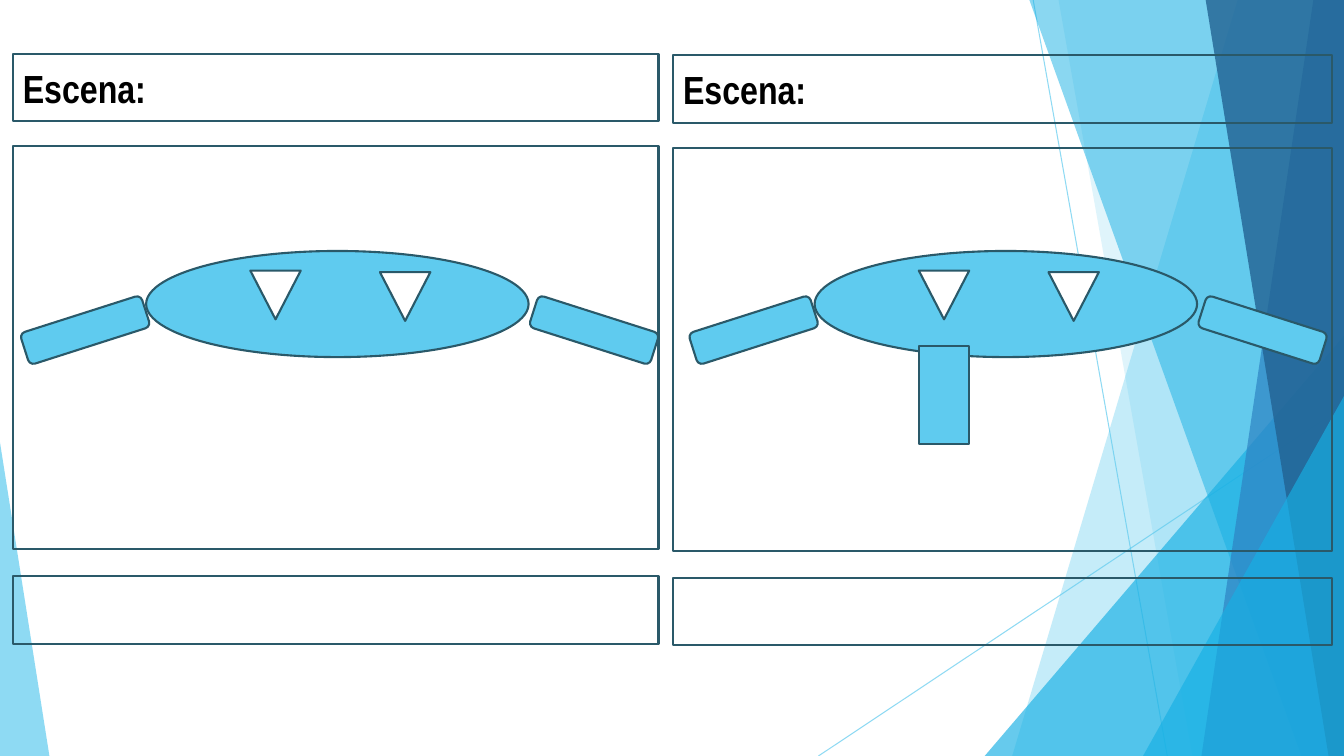
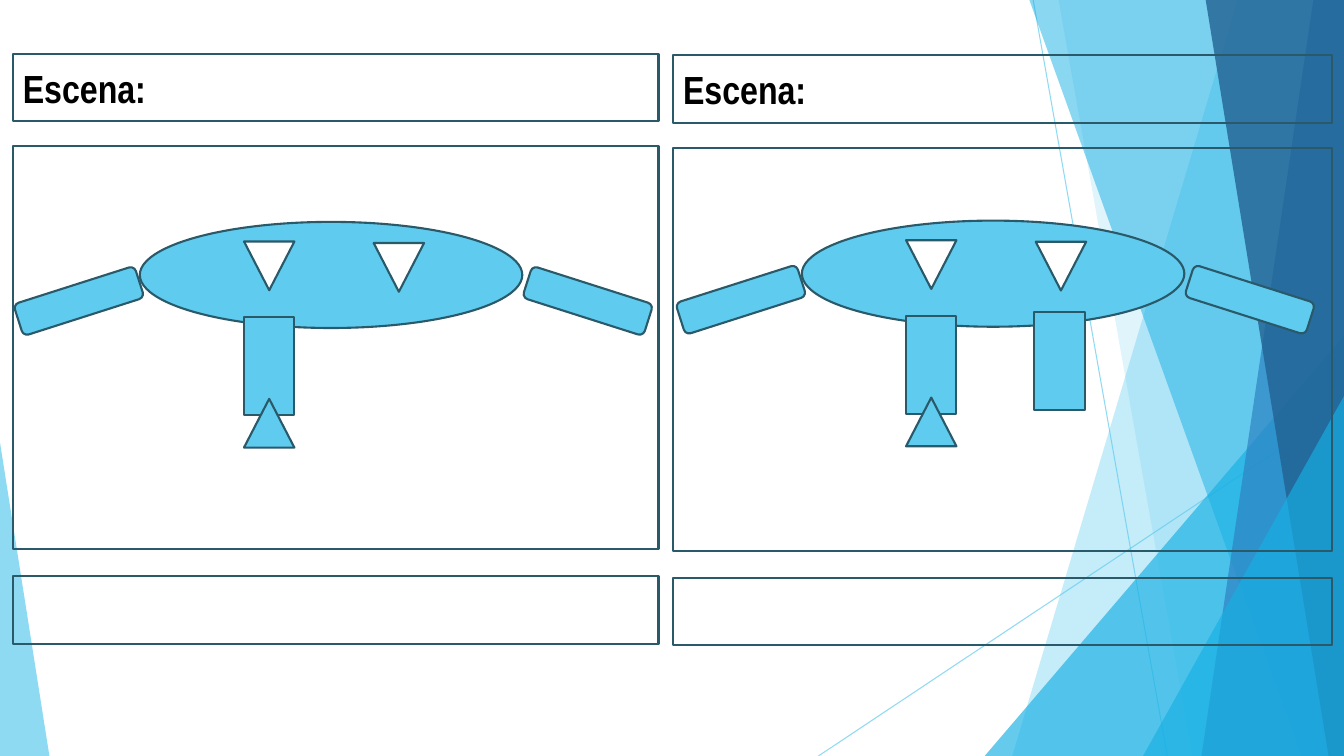
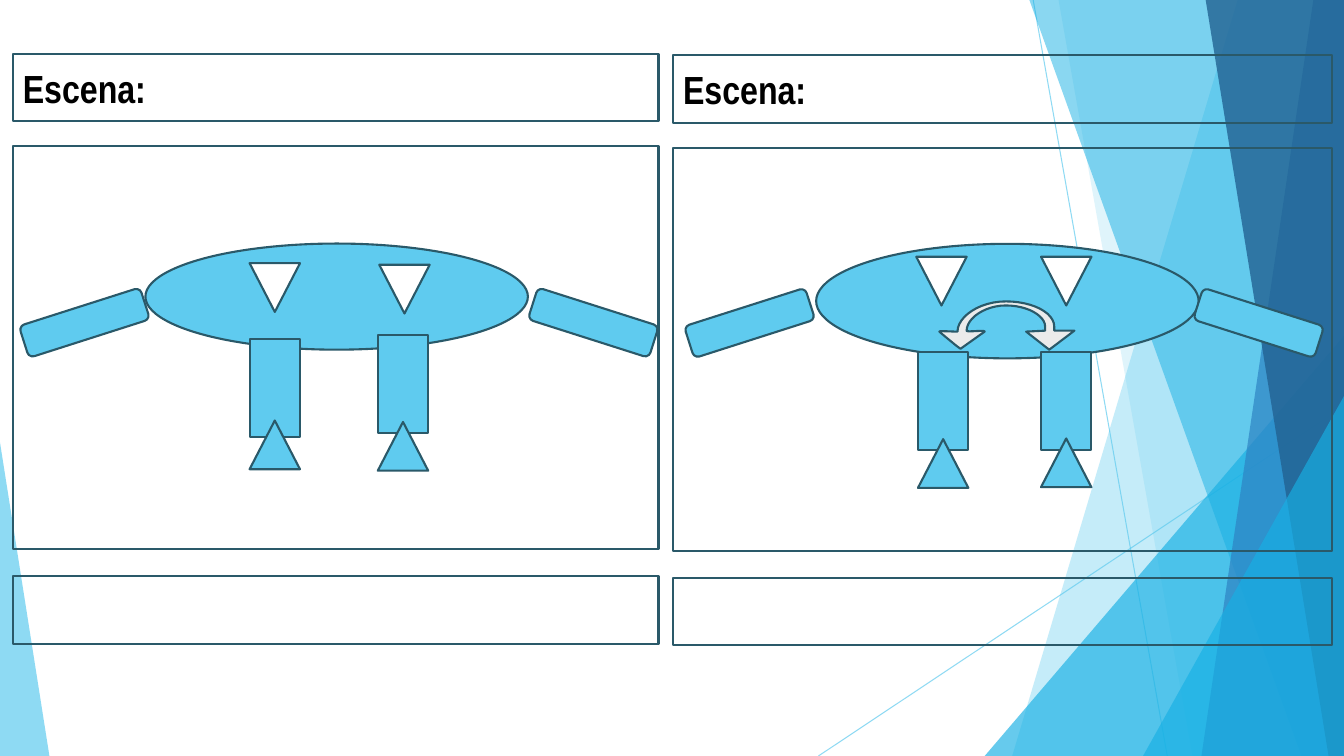
from lxml.etree import SubElement
from pptx import Presentation
from pptx.dml.color import RGBColor
from pptx.enum.shapes import MSO_CONNECTOR, MSO_SHAPE
from pptx.enum.text import MSO_ANCHOR, PP_ALIGN
from pptx.oxml.ns import qn
from pptx.util import Pt

SKY = RGBColor(0x5F, 0xCB, 0xEF)
CYAN = RGBColor(0x17, 0xB0, 0xE4)
BLUE = RGBColor(0x2E, 0x83, 0xC3)
NAVY = RGBColor(0x22, 0x62, 0x92)
OUTLINE = RGBColor(0x2A, 0x59, 0x69)
GREY = RGBColor(0xEB, 0xEB, 0xEB)
WHITE = RGBColor(0xFF, 0xFF, 0xFF)
BLACK = RGBColor(0, 0, 0)
FONT = "Arial Narrow"
W, H = 960, 540

# Backdrop, back to front
RAYS = [(738, 0, 833.8, H), (W, 290.2, 584.6, H)]
BACKDROP = [  # band: top left x, bottom left x; wedge: box, apex
    ("band", (884.2, 723), SKY, 36),
    ("band", (756, 851.8), SKY, 20),
    ("wedge", (703.4, 239.8, 256.6, 300.2, 1), CYAN, 66),
    ("band", (735.1, 929.5), CYAN, 50),
    ("band", (938.2, 858.2), BLUE, 70),
    ("band", (861.1, 949), NAVY, 80),
    ("wedge", (816.5, 283, 143.5, 257, 1), CYAN, 66),
    ("wedge", (0, 316.1, 35.3, 223.9, 0), SKY, 70),
]

# Storyboard panels
PANELS = [(9.2, 0, 461.2), (480.8, 1.2, 470.6)]  # left, drop, width
ROWS = [(38.3, 48.4, "Escena:"), (104.4, 287.8, ""), (411.4, 48.4, "")]

# Robot parts: kind -> shape, width, height, fill, rotations
PARTS = {
    "leg": (MSO_SHAPE.RECTANGLE, 36, 70, SKY, (0, 0)),
    "arm": (MSO_SHAPE.ROUNDED_RECTANGLE, 90.7, 23.8, SKY, (342.3, 17.7)),
    "foot": (MSO_SHAPE.ISOSCELES_TRIANGLE, 36, 34.8, SKY, (0, 0)),
    "eye": (MSO_SHAPE.ISOSCELES_TRIANGLE, 36, 34.8, WHITE, (180, 180)),
}
# Left and right positions, relative to the body
STANDING = {
    "body": (273.2, 75.8),
    "leg": [(74.4, 68), (166, 65.2)],
    "arm": [(-88.9, 44.6), (274.6, 44.6)],
    "foot": [(74.4, 126.4), (166, 127.4)],
    "eye": [(74.4, 14), (167, 15.1)],
}
SMILING = {
    "body": (273.2, 81.8),
    "leg": [(72.7, 77), (160.6, 77)],
    "arm": [(-92.9, 44.6), (270.7, 44.6)],
    "foot": [(72.7, 139.5), (160.6, 139)],
    "eye": [(71.5, 9.2), (160.6, 9.2)],
}
SCENES = [  # two robots a slide: left, top, legs, feet, pose
    [(104.4, 179.3, 0, 0, STANDING), (581.9, 179.3, 1, 0, STANDING)],
    [(99.9, 158.5, 1, 1, STANDING), (572.8, 157.6, 2, 1, STANDING)],
    [(103.9, 174, 2, 2, STANDING), (583, 174.2, 2, 2, SMILING)],
]

# Smile: a point is a line, three points are a Bezier curve
SMILE_START = (686.2, 249.1)
SMILE = [
    [(685.4, 249.1), (671.8, 237.6), (671, 236.9)],
    [(670.3, 236.2), (680.4, 236.9), (684, 236.9)],
    [(684, 226.1), (699.8, 215.3), (718.6, 215.3)],
    [(737.3, 215.3), (753.1, 223.2), (753.1, 233.3)],
    [(753.1, 236.2)], [(767.5, 236.2)], [(749.5, 249.8)],
    [(733, 236.9)], [(746.6, 236.2)], [(746.6, 233.3)],
    [(746.6, 225.4), (733.7, 218.2), (718.6, 218.2)],
    [(703.4, 218.2), (690.5, 227.5), (690.5, 236.2)],
    [(690.5, 237.6), (703.4, 235.4), (703.4, 236.9)],
]
CURVE_STEPS = 12


def style(sp, fill=None, line=OUTLINE):
    sp.shadow.inherit = False
    if fill is None:
        sp.fill.background()
    else:
        sp.fill.solid()
        sp.fill.fore_color.rgb = fill
    if line is None:
        sp.line.fill.background()
    else:
        sp.line.color.rgb = line
        sp.line.width = Pt(1.5)
    return sp


def set_opacity(sp, percent):
    for color in sp.element.iter(qn("a:srgbClr")):
        SubElement(color, qn("a:alpha")).set("val", str(percent * 1000))


def add_box(shapes, kind, x, y, w, h, fill=None, line=OUTLINE):
    return style(shapes.add_shape(kind, Pt(x), Pt(y), Pt(w), Pt(h)), fill, line)


def add_outline(shapes, points, fill, line=OUTLINE):
    points = [(Pt(x), Pt(y)) for x, y in points]
    builder = shapes.build_freeform(*points[0])
    builder.add_line_segments(points[1:], close=True)
    return style(builder.convert_to_shape(), fill, line)


def add_backdrop(shapes):
    for ray in RAYS:
        line = shapes.add_connector(MSO_CONNECTOR.STRAIGHT, *map(Pt, ray))
        line.line.color.rgb = SKY
        line.line.width = Pt(0.75)
        SubElement(line.element.spPr, qn("a:effectLst"))
        set_opacity(line, 70)
    for kind, place, color, opacity in BACKDROP:
        if kind == "band":
            top, bottom = place
            corners = [(top, -0.6), (W, -0.6), (W, H), (bottom, H)]
            sp = add_outline(shapes, corners, color, None)
        else:
            *box, apex = place
            sp = add_box(shapes, MSO_SHAPE.ISOSCELES_TRIANGLE, *box, color, None)
            sp.adjustments[0] = apex
        set_opacity(sp, opacity)


def add_panels(shapes):
    for x, drop, w in PANELS:
        for y, h, label in ROWS:
            sp = add_box(shapes, MSO_SHAPE.RECTANGLE, x, y + drop, w, h)
            if label:
                tf = sp.text_frame
                tf.word_wrap = True
                tf.vertical_anchor = MSO_ANCHOR.MIDDLE
                p = tf.paragraphs[0]
                p.text = label
                p.alignment = PP_ALIGN.LEFT
                p.font.name, p.font.size, p.font.bold = FONT, Pt(28), True
                p.font.color.rgb = BLACK


def add_robot(shapes, x, y, legs, feet, pose):
    add_box(shapes, MSO_SHAPE.OVAL, x, y, *pose["body"], SKY)
    counts = {"leg": legs, "foot": feet}
    for part, (kind, w, h, fill, turns) in PARTS.items():
        places = pose[part][:counts.get(part, 2)]
        for (dx, dy), turn in zip(places, turns):
            sp = add_box(shapes, kind, x + dx, y + dy, w, h, fill)
            sp.rotation = turn


def bezier(p0, p1, p2, p3):
    for step in range(1, CURVE_STEPS + 1):
        t = step / CURVE_STEPS
        u = 1 - t
        yield tuple(u**3 * a + 3 * u * u * t * b + 3 * u * t * t * c + t**3 * d
                    for a, b, c, d in zip(p0, p1, p2, p3))


def add_smile(shapes):
    add_box(shapes, MSO_SHAPE.ARC, 637.9, 218.2, 72, 72, line=SKY)
    points = [SMILE_START]
    for segment in SMILE:
        points += bezier(points[-1], *segment) if len(segment) == 3 else segment
    add_outline(shapes, points, GREY)


def main():
    prs = Presentation()
    prs.slide_width, prs.slide_height = Pt(W), Pt(H)
    blank = prs.slide_layouts[6]
    slides = [prs.slides.add_slide(blank) for _ in SCENES]

    # The layout carries the backdrop for every slide
    backdrop = slides[0].shapes.add_group_shape()
    add_backdrop(backdrop.shapes)
    blank.element.cSld.spTree.append(backdrop.element)

    for s, robots in zip(slides, SCENES):
        add_panels(s.shapes)
        for robot in robots:
            add_robot(s.shapes, *robot)
    add_smile(slides[-1].shapes)
    prs.save("out.pptx")


if __name__ == "__main__":
    main()
